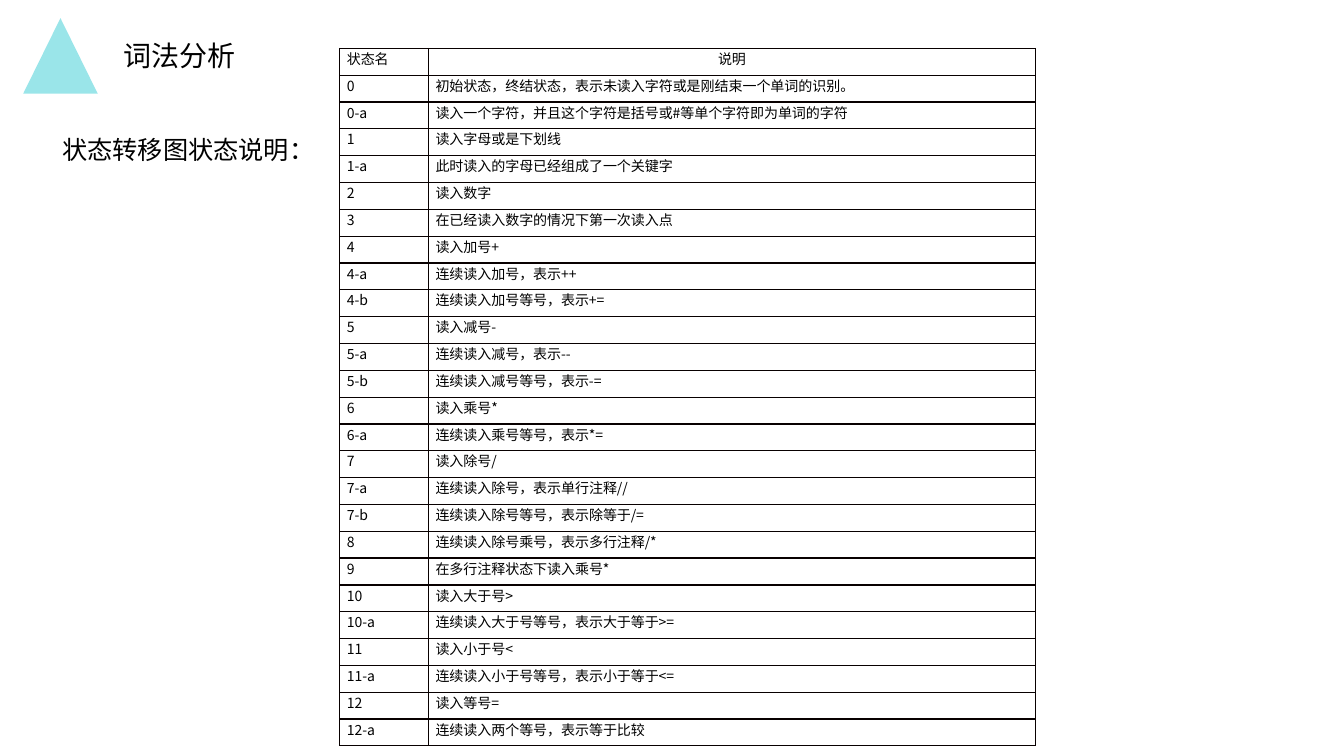
import pptx
import pptx.util
import pptx.dml.color
import pptx.enum.shapes
import pptx.enum.text
import pptx.oxml.ns
from lxml import etree

Inches = pptx.util.Inches
FONT = "Noto Sans CJK SC"
COLORS = {"text": "000000", "accent": "9AE5E9", "border": "080000"}

# Content: text, left, top, width, height, size
HEADINGS = [
    ("词法分析", 1.13, 0.33, 2.54, 0.44, 20),
    ("状态转移图状态说明：", 0.52, 1.28, 2.53, 0.4, 18),
]
HEADER = ("状态名", "说明")
STATES = [
    ("0", "初始状态，终结状态，表示未读入字符或是刚结束一个单词的识别。"),
    ("0-a", "读入一个字符，并且这个字符是括号或#等单个字符即为单词的字符"),
    ("1", "读入字母或是下划线"),
    ("1-a", "此时读入的字母已经组成了一个关键字"),
    ("2", "读入数字"),
    ("3", "在已经读入数字的情况下第一次读入点"),
    ("4", "读入加号+"),
    ("4-a", "连续读入加号，表示++"),
    ("4-b", "连续读入加号等号，表示+="),
    ("5", "读入减号-"),
    ("5-a", "连续读入减号，表示--"),
    ("5-b", "连续读入减号等号，表示-="),
    ("6", "读入乘号*"),
    ("6-a", "连续读入乘号等号，表示*="),
    ("7", "读入除号/"),
    ("7-a", "连续读入除号，表示单行注释//"),
    ("7-b", "连续读入除号等号，表示除等于/="),
    ("8", "连续读入除号乘号，表示多行注释/*"),
    ("9", "在多行注释状态下读入乘号*"),
    ("10", "读入大于号>"),
    ("10-a", "连续读入大于号等号，表示大于等于>="),
    ("11", "读入小于号<"),
    ("11-a", "连续读入小于号等号，表示小于等于<="),
    ("12", "读入等号="),
    ("12-a", "连续读入两个等号，表示等于比较"),
]
COLUMN_WIDTHS = (0.88, 6.02)


def rgb(name):
    return pptx.dml.color.RGBColor.from_string(COLORS[name])


def write(frame, text, size):
    para = frame.paragraphs[0]
    para.text = text
    font = para.font
    font.size = pptx.util.Pt(size)
    font.color.rgb = rgb("text")
    font.name = FONT
    # East Asian characters take their own typeface entry
    properties = para._p.pPr.find(pptx.oxml.ns.qn("a:defRPr"))
    etree.SubElement(properties, pptx.oxml.ns.qn("a:ea"), typeface=FONT)
    return para


def add_borders(cell):
    properties = cell._tc.get_or_add_tcPr()
    for position, side in enumerate(("lnL", "lnR", "lnT", "lnB")):
        line = etree.Element(pptx.oxml.ns.qn("a:" + side), w=str(pptx.util.Pt(1)))
        fill = etree.SubElement(line, pptx.oxml.ns.qn("a:solidFill"))
        etree.SubElement(fill, pptx.oxml.ns.qn("a:srgbClr"), val=COLORS["border"])
        properties.insert(position, line)


deck = pptx.Presentation()
deck.slide_width, deck.slide_height = Inches(13.33), Inches(7.5)
page = deck.slides.add_slide(deck.slide_layouts[6])

# Corner triangle
triangle = page.shapes.add_shape(
    pptx.enum.shapes.MSO_SHAPE.ISOSCELES_TRIANGLE,
    Inches(0.23), Inches(0.18), Inches(0.74), Inches(0.75))
triangle.shadow.inherit = False
triangle.fill.solid()
triangle.fill.fore_color.rgb = rgb("accent")
triangle.line.fill.background()

# Headings
for text, left, top, width, height, size in HEADINGS:
    box = page.shapes.add_textbox(*map(Inches, (left, top, width, height)))
    box.text_frame.word_wrap = True
    box.text_frame.auto_size = pptx.enum.text.MSO_AUTO_SIZE.SHAPE_TO_FIT_TEXT
    write(box.text_frame, text, size)

# State table, with rows of equal height
rows = [HEADER] + STATES
table = page.shapes.add_table(
    len(rows), len(HEADER), Inches(3.37), Inches(0.48),
    Inches(sum(COLUMN_WIDTHS)), Inches(6.92)).table
table.first_row = table.horz_banding = False
for column, width in zip(table.columns, COLUMN_WIDTHS):
    column.width = Inches(width)
for row_index, row in enumerate(rows):
    for column_index, text in enumerate(row):
        cell = table.cell(row_index, column_index)
        cell.margin_left = cell.margin_right = Inches(0.07)
        cell.margin_top = cell.margin_bottom = 0
        cell.fill.background()
        add_borders(cell)
        write(cell.text_frame, text, 10)
table.cell(0, 1).text_frame.paragraphs[0].alignment = pptx.enum.text.PP_ALIGN.CENTER

deck.save("out.pptx")
